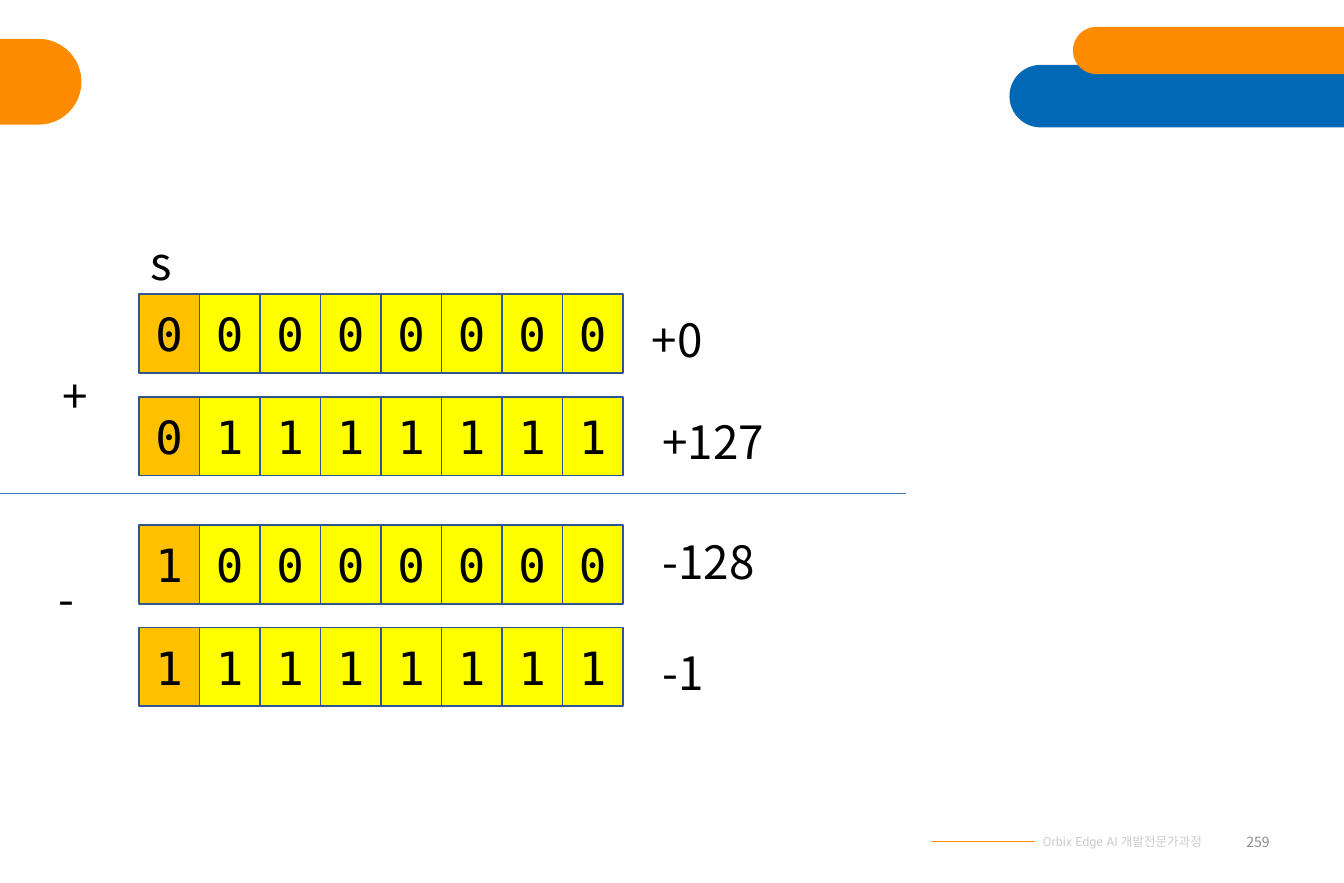
import dataclasses
import pptx
import pptx.util
import pptx.dml.color
import pptx.enum.shapes
import pptx.enum.text
import pptx.oxml.ns
import lxml.etree

Cm = pptx.util.Cm
Pt = pptx.util.Pt
MSO_SHAPE = pptx.enum.shapes.MSO_SHAPE
ALIGN = pptx.enum.text.PP_ALIGN
ANCHOR = pptx.enum.text.MSO_ANCHOR
qn = pptx.oxml.ns.qn


@dataclasses.dataclass(frozen=True)
class Theme:
    orange: str = "FF8C00"
    blue: str = "0068B5"
    sign_fill: str = "FFC000"
    bit_fill: str = "FFFF00"
    bit_line: str = "325491"
    divider: str = "4472C4"
    ink: str = "000000"
    footer: str = "CCCCCC"
    number: str = "8C8C8C"
    mono: str = "DejaVu Sans Mono"
    sans: str = "Noto Sans CJK KR"
    footer_font: str = "Roboto"
    body_size: float = 28
    number_size: float = 8.6
    footer_size: float = 7.7


def rgb(value):
    return pptx.dml.color.RGBColor.from_string(value)


def write(tf, text, *, size, font, east, color, align=ALIGN.LEFT, anchor=ANCHOR.TOP, wrap=True):
    tf.word_wrap = wrap
    tf.vertical_anchor = anchor
    p = tf.paragraphs[0]
    p.alignment = align
    r = p.add_run()
    r.text = text
    r.font.size = Pt(size)
    r.font.name = font
    r.font.color.rgb = rgb(color)
    lxml.etree.SubElement(r.font._element, qn("a:ea")).set("typeface", east)


class SlideBuilder:
    def __init__(self, slide, theme):
        self.slide = slide
        self.theme = theme

    def shape(self, kind, left, top, width, height, fill, line=None):
        sp = self.slide.shapes.add_shape(kind, Cm(left), Cm(top), Cm(width), Cm(height))
        sp.shadow.inherit = False
        sp.fill.solid()
        sp.fill.fore_color.rgb = rgb(fill)
        if line:
            sp.line.color.rgb = rgb(line)
            sp.line.width = Pt(1)
        else:
            sp.line.fill.background()
        return sp

    def pill(self, left, top, width, height, fill):
        sp = self.shape(MSO_SHAPE.ROUNDED_RECTANGLE, left, top, width, height, fill)
        sp.adjustments[0] = 0.5

    def bit(self, left, top, width, height, digit, fill):
        t = self.theme
        sp = self.shape(MSO_SHAPE.RECTANGLE, left, top, width, height, fill, t.bit_line)
        tf = sp.text_frame
        tf.margin_left = tf.margin_right = Cm(0.1)
        tf.margin_top = tf.margin_bottom = Cm(0.13)
        write(tf, digit, size=t.body_size, font=t.mono, east=t.mono, color=t.ink,
              align=ALIGN.CENTER, anchor=ANCHOR.MIDDLE)

    def text(self, left, top, width, height, text, **style):
        tf = self.slide.shapes.add_textbox(Cm(left), Cm(top), Cm(width), Cm(height)).text_frame
        write(tf, text, east=self.theme.sans, **style)
        return tf

    def label(self, left, top, width, text):
        t = self.theme
        tf = self.text(left, top, width, 1.45, text, size=t.body_size, font=t.sans,
                       color=t.ink, wrap=False)
        tf.auto_size = pptx.enum.text.MSO_AUTO_SIZE.SHAPE_TO_FIT_TEXT

    def rule(self, left, right, y, color):
        sp = self.slide.shapes.add_connector(
            pptx.enum.shapes.MSO_CONNECTOR.STRAIGHT, Cm(left), Cm(y), Cm(right), Cm(y))
        sp.line.color.rgb = rgb(color)
        sp.line.width = Pt(0.5)
        lxml.etree.SubElement(sp._element.spPr, qn("a:effectLst"))


def main():
    prs = pptx.Presentation()
    prs.slide_width, prs.slide_height = Cm(29.01), Cm(19.05)
    theme = Theme()
    s = SlideBuilder(prs.slides.add_slide(prs.slide_layouts[6]), theme)

    s.pill(-1.14, 0.84, 2.9, 1.85, theme.orange)
    s.pill(21.79, 1.4, 8.26, 1.35, theme.blue)
    s.pill(23.16, 0.58, 8, 1.02, theme.orange)

    s.text(19.84, 17.86, 6.35, 0.58, "Orbix Edge AI 개발전문가과정", size=theme.footer_size,
           font=theme.footer_font, color=theme.footer, align=ALIGN.RIGHT)
    for right in (20.6, 22.35):
        s.rule(20.12, right, 18.16, theme.orange)
    s.text(26.06, 17.65, 1.6, 1.02, "259", size=theme.number_size, font=theme.sans,
           color=theme.number, align=ALIGN.RIGHT, anchor=ANCHOR.MIDDLE)

    first_left, first_top = 3, 6.35
    bit_width, bit_height = 1.306, 1.7
    row_pitch, group_pitch = 2.21, 4.98
    groups = (("00000000", "01111111"), ("10000000", "11111111"))
    for g, rows in enumerate(groups):
        for row, bits in enumerate(rows):
            top = first_top + g * group_pitch + row * row_pitch
            for col, digit in enumerate(bits):
                fill = theme.bit_fill if col else theme.sign_fill
                s.bit(first_left + col * bit_width, top, bit_width, bit_height, digit, fill)

    s.rule(-0.18, 19.56, 10.64, theme.divider)

    labels = (
        (3, 4.95, 0.94, "s"),
        (1.09, 7.8, 1.22, "+"),
        (1.02, 12.19, 0.91, "-"),
        (13.82, 6.6, 1.75, "+0"),
        (14.05, 8.81, 2.84, "+127"),
        (14.05, 11.4, 2.57, "-128"),
        (14.05, 13.79, 1.47, "-1"),
    )
    for left, top, width, text in labels:
        s.label(left, top, width, text)

    prs.save("out.pptx")


if __name__ == "__main__":
    main()
